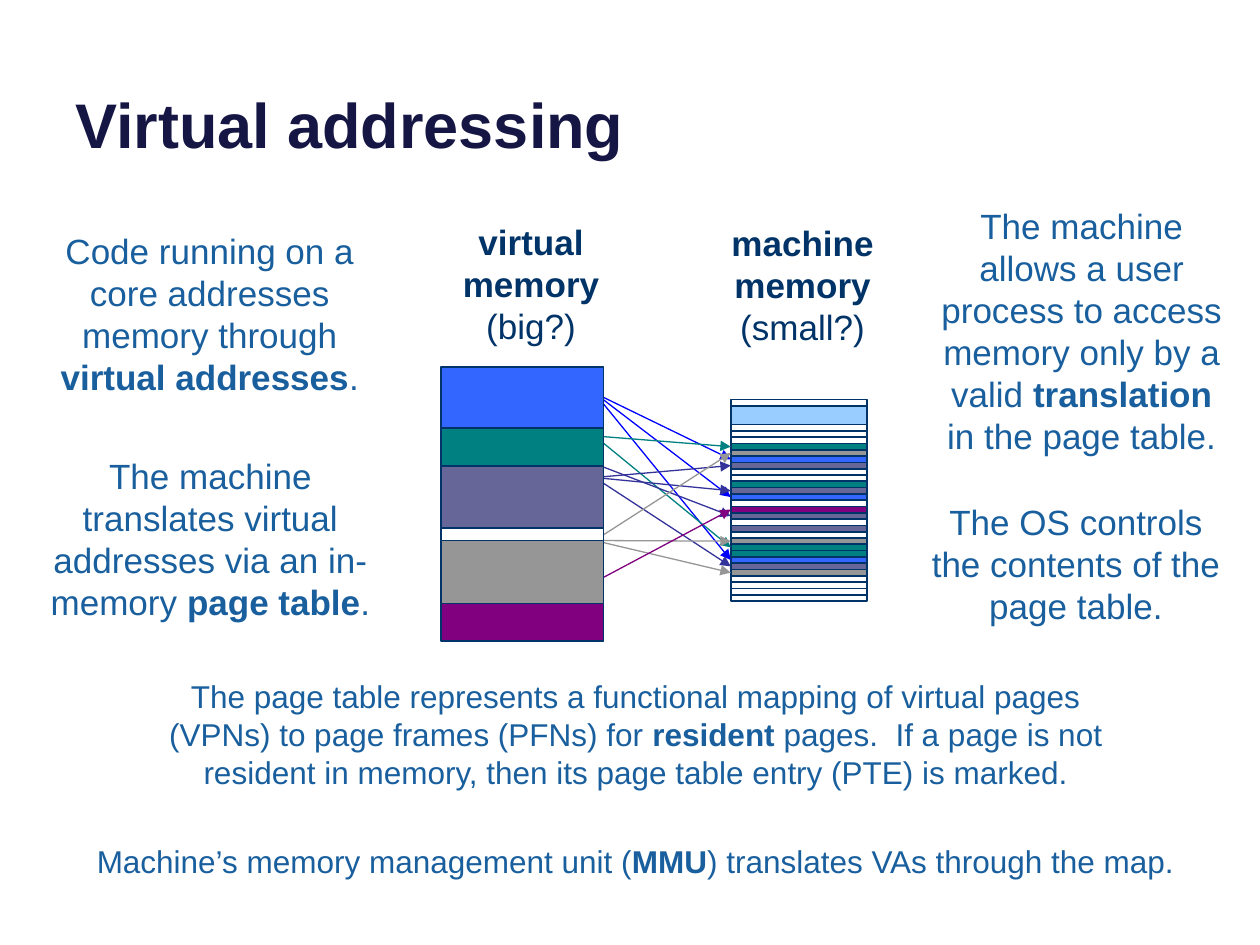
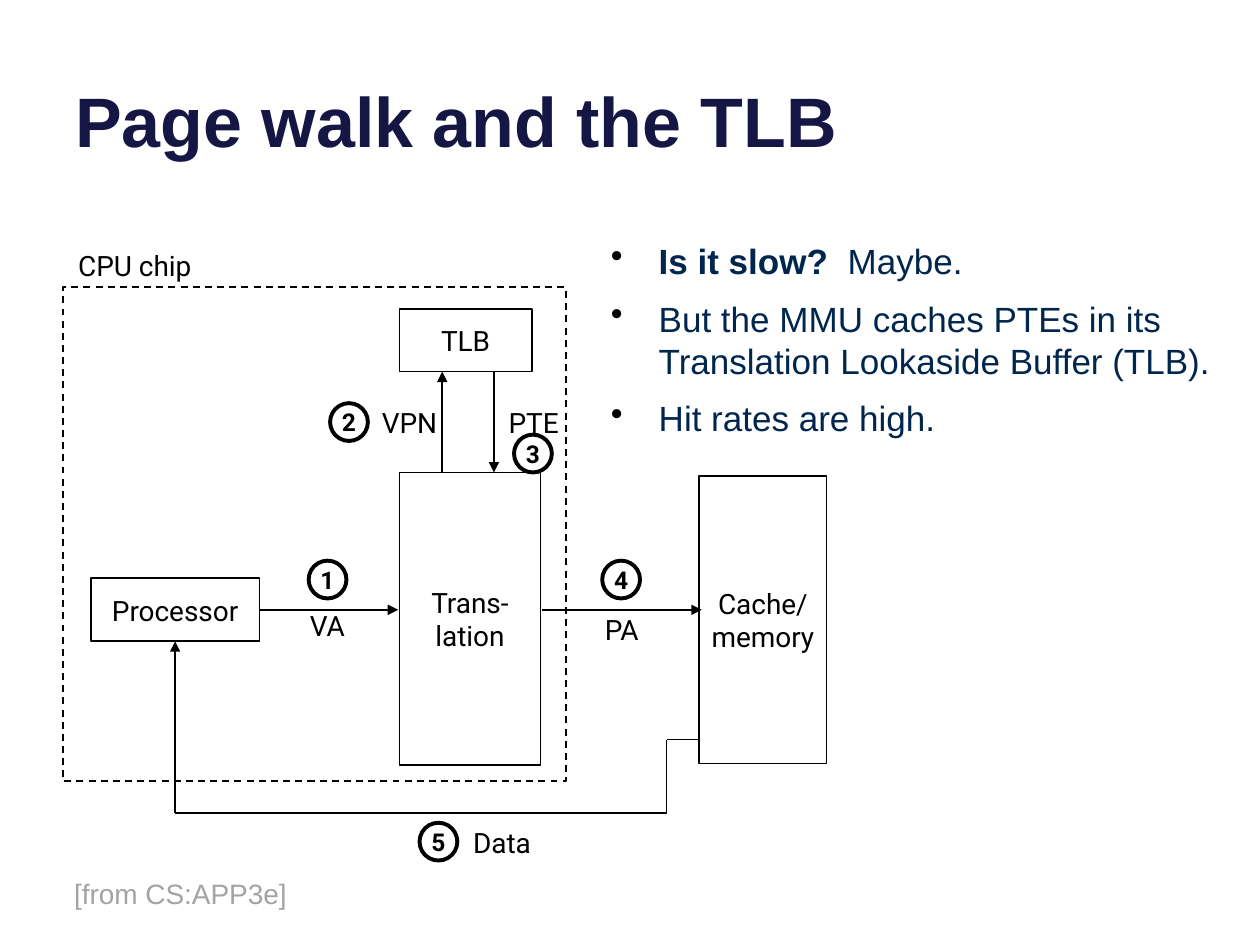
from itertools import pairwise

from lxml import etree
from pptx import Presentation
from pptx.dml.color import RGBColor
from pptx.enum.dml import MSO_LINE
from pptx.enum.shapes import MSO_CONNECTOR, MSO_SHAPE as Shape
from pptx.enum.text import MSO_ANCHOR as Anchor, MSO_AUTO_SIZE, PP_ALIGN as Align
from pptx.oxml.ns import qn
from pptx.util import Inches, Pt

BLACK = RGBColor(0x00, 0x00, 0x00)
WHITE = RGBColor(0xFF, 0xFF, 0xFF)
TITLE = RGBColor(0x16, 0x16, 0x45)
NAVY = RGBColor(0x00, 0x33, 0x67)
BODY = RGBColor(0x00, 0x26, 0x4D)
NOTE = RGBColor(0x19, 0x5F, 0x9E)
SOURCE = RGBColor(0xA3, 0xA3, 0xA3)
BLUE = RGBColor(0x33, 0x66, 0xFF)
SKY = RGBColor(0x99, 0xCC, 0xFF)
TEAL = RGBColor(0x00, 0x80, 0x80)
SLATE = RGBColor(0x66, 0x66, 0x99)
GRAY = RGBColor(0x96, 0x96, 0x96)
PURPLE = RGBColor(0x80, 0x00, 0x80)
BLUE_ARROW = RGBColor(0x00, 0x00, 0xFF)
SLATE_ARROW = RGBColor(0x33, 0x33, 0x99)

TEXT_FONT = "Arial"
DIAGRAM_FONT = "Roboto"
LEFT_SIDE, BOTTOM_SIDE, RIGHT_SIDE = 1, 2, 3


class Deck:
    """Holds the shared style and the slide being drawn."""

    def __init__(self):
        self.presentation = Presentation()
        self.presentation.slide_width = Inches(10)
        self.presentation.slide_height = Inches(7.5)
        self.slide = None

    def new_slide(self, title, size):
        self.slide = self.presentation.slides.add_slide(self.presentation.slide_layouts[6])
        self.text((0.5, -0.37, 9, 1.7), [f"*{title}*"], size, TITLE,
                  anchor=Anchor.BOTTOM, grow=False)

    def add_lines(self, frame, lines, size, color, font, align):
        for index, line in enumerate(lines):
            paragraph = frame.paragraphs[0] if index == 0 else frame.add_paragraph()
            paragraph.alignment = align
            for position, piece in enumerate(line.split("*")):
                if piece:
                    run = paragraph.add_run()
                    run.text = piece
                    run.font.name = font
                    run.font.size = Pt(size)
                    run.font.bold = position % 2 == 1
                    run.font.color.rgb = color

    def text(self, box, lines, size, color, font=TEXT_FONT, align=Align.LEFT,
             anchor=Anchor.TOP, wrap=True, grow=True):
        frame = self.slide.shapes.add_textbox(*map(Inches, box)).text_frame
        frame.word_wrap = wrap
        frame.auto_size = MSO_AUTO_SIZE.SHAPE_TO_FIT_TEXT if grow else MSO_AUTO_SIZE.NONE
        frame.vertical_anchor = anchor
        self.add_lines(frame, lines, size, color, font, align)
        return frame

    def note(self, box, line, size=20, align=Align.CENTER):
        self.text(box, [line], size, NOTE, align=align, anchor=Anchor.MIDDLE)

    def heading(self, box, lines):
        self.text(box, lines, 20, NAVY, align=Align.CENTER, wrap=False)

    def label(self, box, line):
        self.text(box, [line], 16, BLACK, DIAGRAM_FONT, Align.CENTER, Anchor.MIDDLE, wrap=False)

    def tight_label(self, box, line):
        frame = self.text(box, [line], 16, BLACK, DIAGRAM_FONT, wrap=False)
        frame.margin_left = frame.margin_right = Inches(0.07)
        frame.margin_top = frame.margin_bottom = Inches(0.03)
        frame.paragraphs[0].line_spacing = 0.85

    def bullets(self, box, lines, size, color):
        frame = self.text(box, lines, size, color, grow=False)
        for index, paragraph in enumerate(frame.paragraphs):
            paragraph.space_before = Pt(9 if index else 0)
            properties = paragraph._p.get_or_add_pPr()
            properties.set("marL", str(Inches(0.38)))
            properties.set("indent", str(-Inches(0.38)))
            bullet_color = etree.SubElement(properties, qn("a:buClr"))
            etree.SubElement(bullet_color, qn("a:srgbClr"), val=str(BLACK))
            etree.SubElement(properties, qn("a:buChar"), char="•")

    def shape(self, kind, box, line=BLACK, width=1, fill=None, dash=None):
        shape = self.slide.shapes.add_shape(kind, *map(Inches, box))
        shape.shadow.inherit = False
        if fill is None:
            shape.fill.background()
        else:
            shape.fill.solid()
            shape.fill.fore_color.rgb = fill
        shape.line.color.rgb = line
        shape.line.width = Pt(width)
        if dash:
            shape.line.dash_style = dash
        return shape

    def node(self, box, lines, kind=Shape.RECTANGLE, size=16, width=1):
        shape = self.shape(kind, box, width=width)
        shape.text_frame.word_wrap = False
        shape.text_frame.vertical_anchor = Anchor.MIDDLE
        self.add_lines(shape.text_frame, lines, size, BLACK, DIAGRAM_FONT, Align.CENTER)
        return shape

    def step(self, number, left, top):
        self.node((left, top, 0.3, 0.3), [f"*{number}*"], Shape.OVAL, 14, 2.25)

    def stack(self, left, top, width, blocks):
        shapes = []
        for color, height in blocks:
            shapes.append(self.shape(Shape.FLOWCHART_PROCESS, (left, top, width, height),
                                     NAVY, fill=color))
            top += height
        return shapes

    def line(self, start, end, color=BLACK, width=1, arrow=True):
        connector = self.slide.shapes.add_connector(
            MSO_CONNECTOR.STRAIGHT, *map(Inches, (*start, *end)))
        connector.line.color.rgb = color
        connector.line.width = Pt(width)
        properties = connector._element.spPr
        if arrow:
            etree.SubElement(properties.find(qn("a:ln")), qn("a:tailEnd"), type="triangle")
        etree.SubElement(properties, qn("a:effectLst"))
        return connector


def draw_virtual_addressing(deck):
    deck.new_slide("Virtual addressing", 36)

    frame_colors = [
        WHITE, WHITE, WHITE, TEAL, GRAY, BLUE, SLATE, WHITE, WHITE, TEAL,
        SLATE, BLUE, WHITE, PURPLE, SLATE, WHITE, SLATE, WHITE, GRAY, TEAL,
        TEAL, BLUE, SLATE, GRAY, WHITE, WHITE, WHITE, WHITE,
    ]
    deck.stack(5.8, 3.17, 1.08, [(WHITE, 0.05), (SKY, 0.15)])
    frames = deck.stack(5.8, 3.37, 1.08, [(color, 0.05) for color in frame_colors])

    mappings = [
        (3.12, BLUE_ARROW, (5, 11, 21)),
        (3.46, TEAL, (3, 19)),
        (3.79, SLATE_ARROW, (6, 10, 22)),
        (3.68, SLATE_ARROW, (14,)),
        (4.29, GRAY, (18, 4, 23)),
        (4.62, PURPLE, (13,)),
    ]
    for page_middle, color, targets in mappings:
        for target in targets:
            arrow = deck.line((4.72, page_middle), (5.8, page_middle), color, 0.75)
            arrow.end_connect(frames[target], LEFT_SIDE)

    deck.stack(3.5, 2.91, 1.29, [(BLUE, 0.49), (TEAL, 0.3), (SLATE, 0.49),
                                 (WHITE, 0.1), (GRAY, 0.5), (PURPLE, 0.3)])

    deck.heading((3.56, 1.7, 1.31, 1.11), ["*virtual*", "*memory*", "(big?)"])
    deck.heading((5.7, 1.71, 1.34, 1.11), ["*machine*", "*memory*", "(small?)"])
    deck.note((0.33, 1.76, 2.67, 1.45),
              "Code running on a core addresses memory through *virtual addresses*.")
    deck.note((0.17, 3.55, 3, 1.45),
              "The machine translates virtual addresses via an in-memory *page table*.")
    deck.note((7.25, 3.92, 2.58, 1.11), "The OS controls the contents of the page table.")
    deck.note((7.33, 1.56, 2.51, 2.12),
              "The machine allows a user process to access memory only by a valid "
              "*translation* in the page table.")
    deck.note((0.67, 6.63, 9.67, 0.4),
              "Machine’s memory management unit (*MMU*) translates VAs through the map.",
              18, Align.LEFT)
    deck.note((1.17, 5.32, 7.75, 1.01),
              "The page table represents a functional mapping of virtual pages (VPNs) to page "
              "frames (PFNs) for *resident* pages.  If a page is not resident in memory, then "
              "its page table entry (PTE) is marked.", 18)


def draw_page_walk(deck):
    deck.new_slide("Page walk and the TLB", 40)
    deck.bullets((4.75, 1.85, 5.04, 0.99), [
        "*Is it slow?  *Maybe.",
        "But the MMU caches PTEs in its Translation Lookaside Buffer (TLB).",
        "Hit rates are high.",
    ], 20, BODY)

    deck.shape(Shape.RECTANGLE, (0.5, 2.28, 3.99, 3.92), dash=MSO_LINE.DASH)
    processor = deck.node((0.72, 4.59, 1.34, 0.5), ["Processor"])
    deck.node((3.17, 3.75, 1.12, 2.32), ["Trans-", "lation"])
    deck.node((5.55, 3.78, 1.01, 2.28), ["Cache/", "memory"])
    deck.node((3.17, 2.45, 1.05, 0.5), ["TLB"])

    deck.line((2.06, 4.84), (3.16, 4.84)).begin_connect(processor, RIGHT_SIDE)
    deck.line((4.3, 4.84), (5.57, 4.84))
    deck.line((3.51, 3.75), (3.51, 2.95))
    deck.line((3.92, 2.95), (3.92, 3.75))

    data_route = [(5.55, 5.87), (5.29, 5.87), (5.29, 6.45), (1.39, 6.45)]
    for start, end in pairwise(data_route):
        deck.line(start, end, arrow=False)
    deck.line(data_route[-1], (1.39, 5.09)).end_connect(processor, BOTTOM_SIDE)

    deck.tight_label((2.39, 4.84, 0.43, 0.28), "VA")
    deck.tight_label((4.73, 4.87, 0.43, 0.28), "PA")
    deck.label((0.5, 1.92, 1.14, 0.37), "CPU chip")
    deck.label((2.92, 3.17, 0.66, 0.37), "VPN")
    deck.label((3.92, 3.17, 0.63, 0.37), "PTE")
    deck.label((3.65, 6.5, 0.67, 0.37), "Data")

    step_places = [(2.45, 4.45), (2.62, 3.2), (4.08, 3.45), (4.78, 4.45), (3.33, 6.53)]
    for number, (left, top) in enumerate(step_places, start=1):
        deck.step(number, left, top)

    deck.text((0.49, 6.91, 1.91, 0.37), ["[from CS:APP3e]"], 16, SOURCE, wrap=False)


def main():
    deck = Deck()
    draw_virtual_addressing(deck)
    draw_page_walk(deck)
    deck.presentation.save("out.pptx")


if __name__ == "__main__":
    main()
